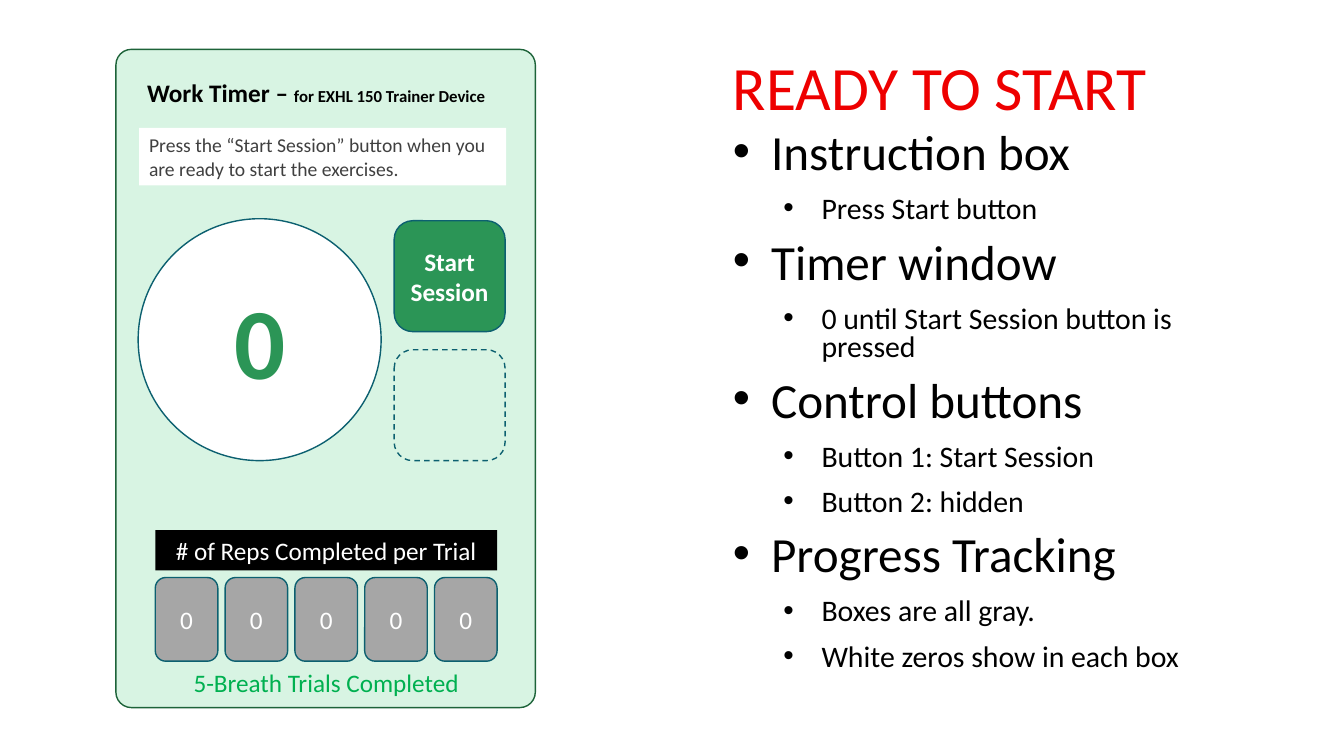
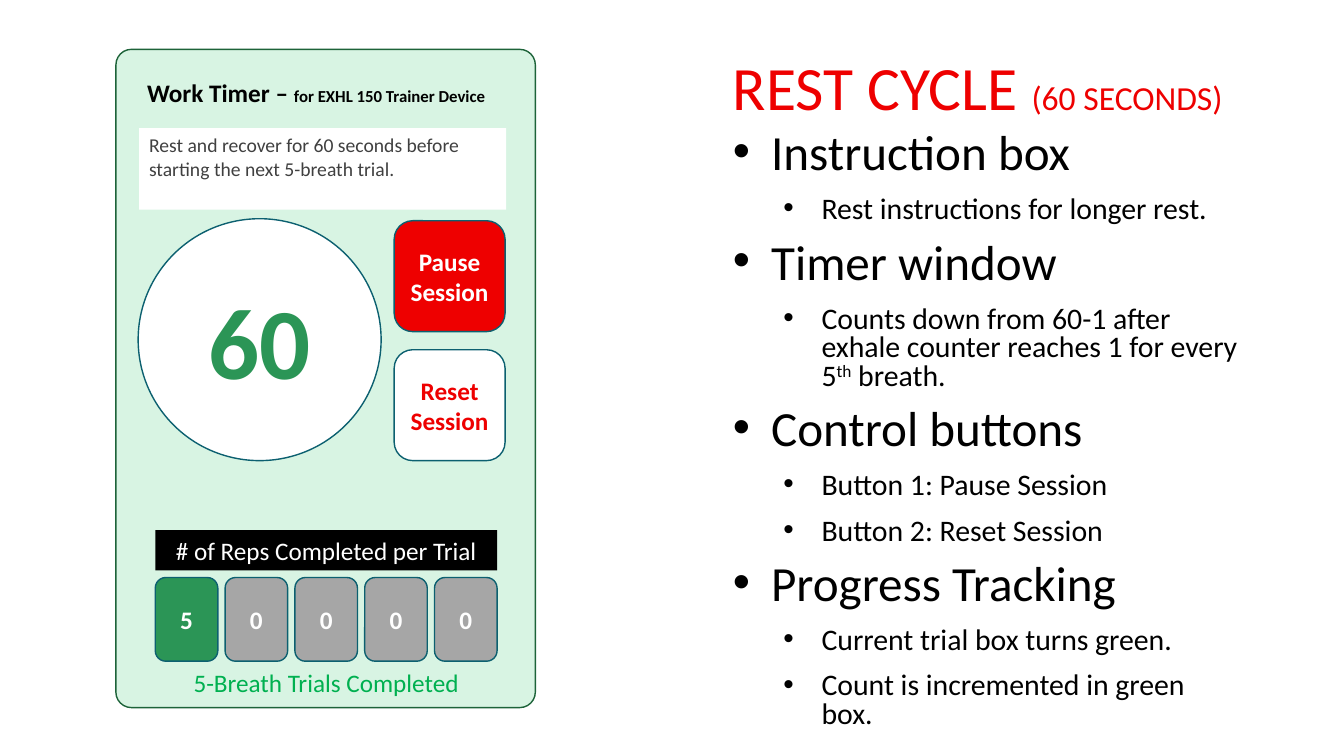
from lxml import etree
from pptx import Presentation
from pptx import util as u
from pptx.dml.color import RGBColor
from pptx.enum import dml, shapes, text
from pptx.oxml.ns import qn

FONT = "Calibri"
COLORS = {
    "panel": "D8F4E3", "panel_edge": "1D6339", "edge": "0C6070",
    "green": "2B9556", "caption": "00B050", "red": "EE0000",
    "gray": "A6A6A6", "note": "404040", "white": "FFFFFF", "black": "000000",
}
LEFT, CENTER = text.PP_ALIGN.LEFT, text.PP_ALIGN.CENTER
TOP, MIDDLE, BOTTOM = (text.MSO_ANCHOR.TOP, text.MSO_ANCHOR.MIDDLE,
                       text.MSO_ANCHOR.BOTTOM)
RECT, ROUND, OVAL = (shapes.MSO_SHAPE.RECTANGLE,
                     shapes.MSO_SHAPE.ROUNDED_RECTANGLE, shapes.MSO_SHAPE.OVAL)
PANEL_BOX = (1.15, 0.49, 4.16, 6.53)
TITLE_BOX = (7.17, 0.42, 5.25, 0.85)
BODY_BOX = (7.17, 1.27, 5.25, 5.74)
LEVELS = [{"size": 35.1, "indent": 0.38}, {"size": 21.3, "indent": 0.88}]
HANGING = 0.38

SLIDES = [
    {
        "title": [("READY TO START", 44)],
        "count": "0",
        "note": "Press the “Start Session” button when you are ready to start the exercises.",
        "note_height": 0.57,
        "buttons": [("Start Session", "green", "white"), None],
        "reps": "00000",
        "reps_bold": False,
        "points": [
            ("Instruction box", ["Press Start button"]),
            ("Timer window", ["0 until Start Session button is pressed"]),
            ("Control buttons", ["Button 1: Start Session", "Button 2: hidden"]),
            ("Progress Tracking",
             ["Boxes are all gray.", "White zeros show in each box"]),
        ],
    },
    {
        "title": [("REST CYCLE ", 44), ("(60 SECONDS)", 24)],
        "count": "60",
        "note": "Rest and recover for 60 seconds before starting the next 5-breath trial.",
        "note_height": 0.81,
        "buttons": [("Pause Session", "red", "white"),
                    ("Reset Session", "white", "red")],
        "reps": "50000",
        "reps_bold": True,
        "points": [
            ("Instruction box", ["Rest instructions for longer rest."]),
            ("Timer window",
             ["Counts down from 60-1 after exhale counter reaches 1 for every 5^th^ breath."]),
            ("Control buttons",
             ["Button 1: Pause Session", "Button 2: Reset Session"]),
            ("Progress Tracking",
             ["Current trial box turns green.", "Count is incremented in green box."]),
        ],
    },
]


def rgb(name):
    """Return the named colour."""
    return RGBColor.from_string(COLORS[name])


def place(box, left, top, width, height):
    """Return lengths for a part offset inside a box."""
    return [u.Inches(value)
            for value in (box[0] + left, box[1] + top, width, height)]


def add_span(para, words, size, color, bold=False):
    """Add one formatted run to a paragraph."""
    span = para.add_run()
    span.text = words
    for name, value in {"name": FONT, "size": u.Pt(size), "bold": bold}.items():
        setattr(span.font, name, value)
    span.font.color.rgb = rgb(color)
    return span


def set_frame(shape, anchor=TOP, side=0.1):
    """Set wrapping, anchor and side insets, and return the text frame."""
    frame = shape.text_frame
    values = {"word_wrap": True, "vertical_anchor": anchor,
              "margin_left": u.Inches(side), "margin_right": u.Inches(side)}
    for name, value in values.items():
        setattr(frame, name, value)
    return frame


def add_words(shape, spans, align=CENTER, anchor=MIDDLE, side=0.05):
    """Write one paragraph of spans into a shape."""
    para = set_frame(shape, anchor, side).paragraphs[0]
    para.alignment = align
    for span in spans:
        add_span(para, *span)
    return para


def add_part(page, kind, place_at, fill=None, edge=None, dash=False):
    """Add a flat preset shape."""
    shape = page.shapes.add_shape(kind, *place_at)
    shape.shadow.inherit = False
    if fill:
        shape.fill.solid()
        shape.fill.fore_color.rgb = rgb(fill)
    else:
        shape.fill.background()
    if edge:
        shape.line.color.rgb = rgb(edge)
        shape.line.width = u.Pt(1)
        if dash:
            shape.line.dash_style = dml.MSO_LINE.DASH
    else:
        shape.line.fill.background()
    return shape


def add_buttons(page, box, buttons):
    """Stack the two control buttons; a missing one is a dashed outline."""
    size, step = 1.1, 1.28
    for index, button in enumerate(buttons):
        spot = place(box, 0, index * step, size, size)
        if button:
            label, fill, color = button
            shape = add_part(page, ROUND, spot, fill, "edge")
            add_words(shape, [(label, 18, color, True)])
        else:
            add_part(page, ROUND, spot, None, "edge", True)


def add_progress(page, box, reps, bold):
    """Add the heading, the row of trial boxes and the caption."""
    width, slot = box[2], 0.62
    heading = add_part(page, RECT, place(box, 0, 0, width, 0.4), "black")
    add_words(heading, [("# of Reps Completed per Trial", 18, "white")])
    step = (width - slot) / (len(reps) - 1)
    for index, count in enumerate(reps):
        fill = "gray" if count == "0" else "green"
        trial = add_part(page, ROUND, place(box, index * step, 0.47, slot, 0.83),
                         fill, "edge")
        add_words(trial, [(count, 18, "white", bold)])
    caption = page.shapes.add_textbox(*place(box, 0, 1.31, width, 0.4))
    add_words(caption, [("5-Breath Trials Completed", 18, "caption")], anchor=TOP)


def add_panel(page, box, content):
    """Draw the timer screen inside its box."""
    left, top, width, height = box
    panel = add_part(page, ROUND, place(box, 0, 0, width, height),
                     "panel", "panel_edge")
    panel.adjustments[0] = 0.037
    dial = add_part(page, OVAL, place(box, 0.22, 1.68, 2.41, 2.4), "white", "edge")
    add_words(dial, [(content["count"], 72, "green", True)])
    note = add_part(page, RECT,
                    place(box, 0.23, 0.78, 3.64, content["note_height"]), "white")
    add_words(note, [(content["note"], 14, "note")], LEFT, TOP, 0.1)
    name = page.shapes.add_textbox(*place(box, 0.21, 0.23, 3.65, 0.4))
    add_words(name, [("Work Timer – ", 18, "black", True),
                     ("for EXHL 150 Trainer Device", 12, "black", True)],
              LEFT, TOP, 0.1)
    add_buttons(page, (left + 2.76, top + 1.7), content["buttons"])
    add_progress(page, (left + 0.39, top + 4.77, 3.39), content["reps"],
                 content["reps_bold"])


def add_title(page, box, spans):
    """Add the red slide title."""
    title = page.shapes.add_textbox(*place(box, 0, 0, *box[2:]))
    para = add_words(title, [(words, size, "red") for words, size in spans],
                     LEFT, BOTTOM, 0.1)
    para.line_spacing = 0.85


def add_bullet(para, level):
    """Give a paragraph its level, hanging indent and bullet."""
    para.level = level
    properties = para._p.get_or_add_pPr()
    properties.set("marL", str(u.Inches(LEVELS[level]["indent"])))
    properties.set("indent", str(-u.Inches(HANGING)))
    etree.SubElement(properties, qn("a:buFont")).set("typeface", "Arial")
    etree.SubElement(properties, qn("a:buChar")).set("char", "•")


def add_points(page, box, points):
    """Add the two-level list; carets enclose superscripts."""
    body = page.shapes.add_textbox(*place(box, 0, 0, *box[2:]))
    frame = set_frame(body)
    lines = [(level, words) for head, details in points
             for level, words in [(0, head)] + [(1, item) for item in details]]
    for index, (level, words) in enumerate(lines):
        para = frame.add_paragraph() if index else frame.paragraphs[0]
        para.line_spacing = 0.8
        para.space_before = u.Pt(12 if index else 0)
        add_bullet(para, level)
        for order, piece in enumerate(words.split("^")):
            span = add_span(para, piece, LEVELS[level]["size"], "black")
            if order % 2:
                span.font._element.set("baseline", "30000")


def add_page(deck, content):
    """Add one slide with its timer screen and explanation."""
    page = deck.slides.add_slide(deck.slide_layouts[6])
    add_title(page, TITLE_BOX, content["title"])
    add_points(page, BODY_BOX, content["points"])
    add_panel(page, PANEL_BOX, content)


def main():
    """Build and save the deck."""
    deck = Presentation()
    deck.slide_width, deck.slide_height = u.Inches(13.33), u.Inches(7.5)
    for content in SLIDES:
        add_page(deck, content)
    deck.save("out.pptx")


if __name__ == "__main__":
    main()
